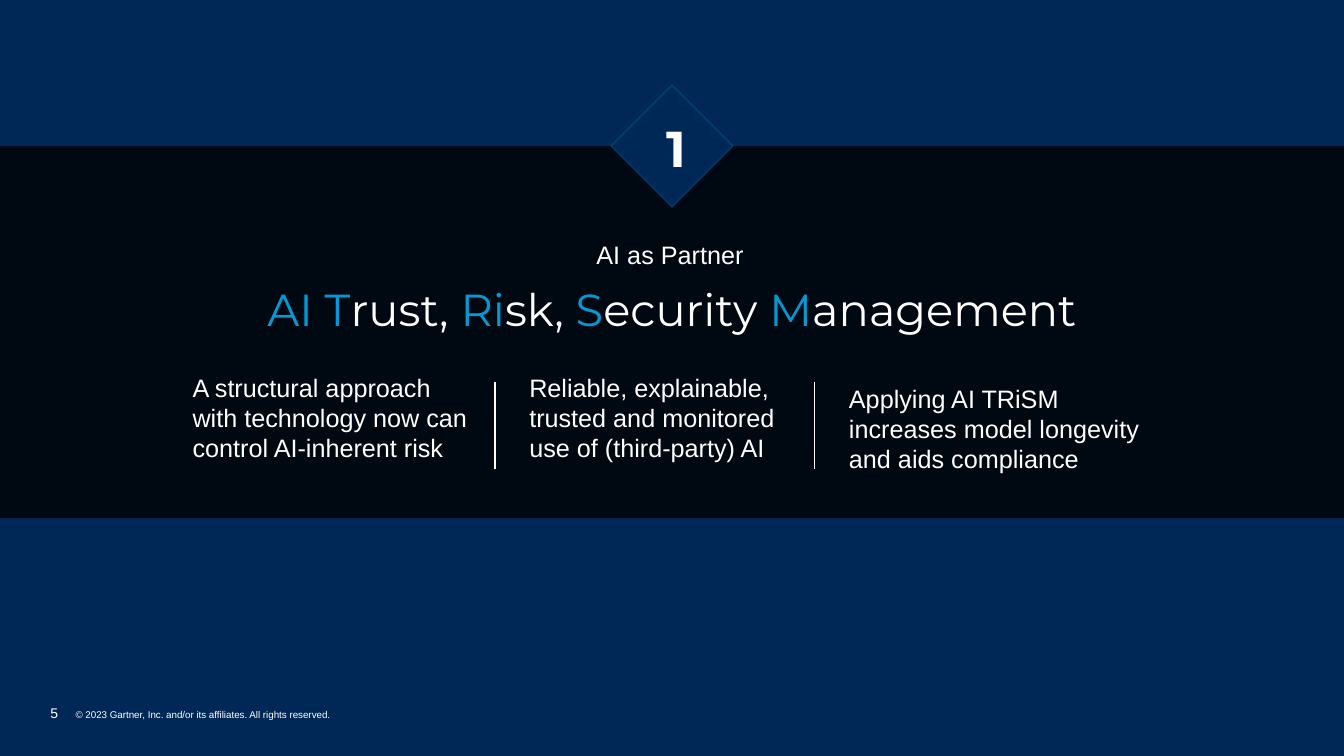
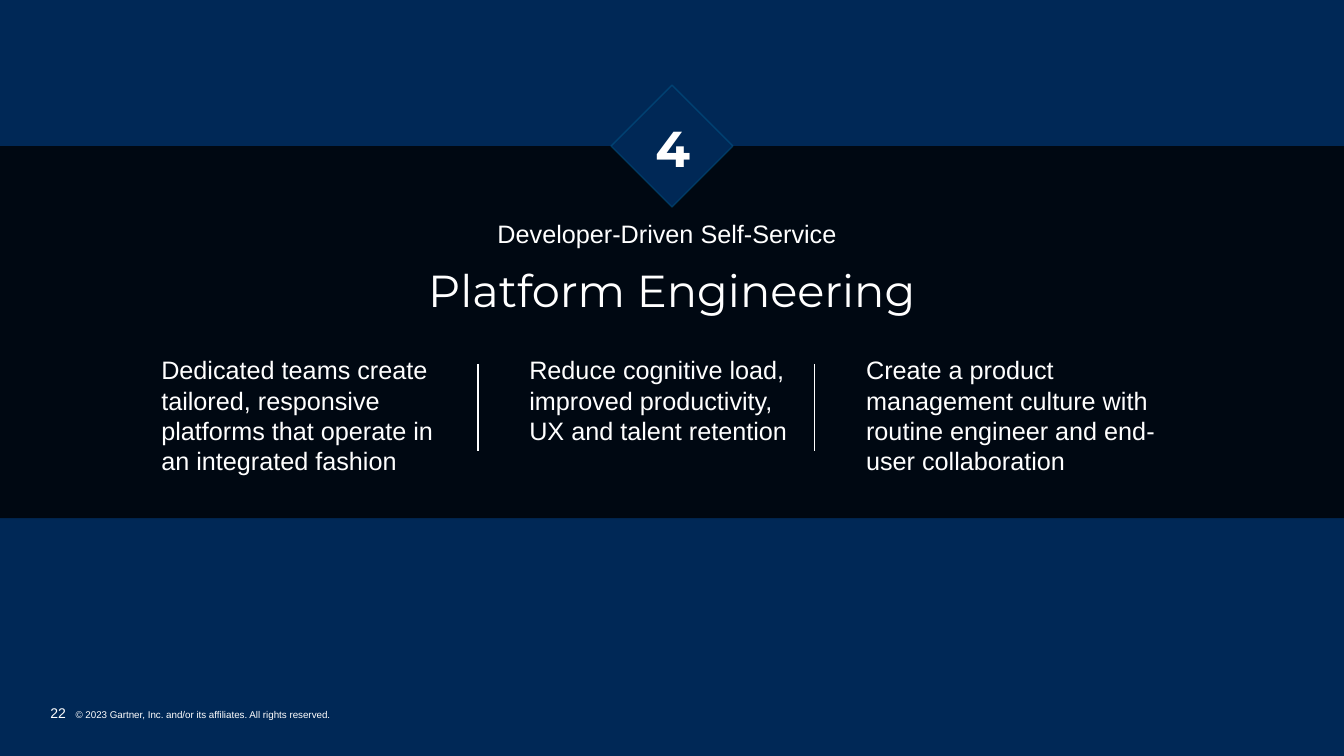
from pptx import Presentation
from pptx.dml.color import RGBColor
from pptx.enum.shapes import MSO_CONNECTOR, MSO_SHAPE
from pptx.enum.text import MSO_ANCHOR, PP_ALIGN
from pptx.oxml.ns import qn
from pptx.util import Inches, Pt
from lxml.etree import SubElement

NAVY = RGBColor(0x00, 0x28, 0x56)
BLACK = RGBColor(0x00, 0x00, 0x00)
WHITE = RGBColor(0xFF, 0xFF, 0xFF)
SKY = RGBColor(0x00, 0x9A, 0xD7)

BODY_FONT = "Arial"
TITLE_FONT = "Montserrat"
SLIDE_WIDTH, SLIDE_HEIGHT = 13.33, 7.5
BAND_TOP, BAND_HEIGHT = 1.45, 3.69
BADGE_SIZE = 1.21
DIVIDER_HEIGHT = 0.86
COPYRIGHT = "© 2023 Gartner, Inc. and/or its affiliates. All rights reserved."


def set_opacity(color_format_parent, percent):
    """Make the solid colour inside a fill or line element see-through."""
    color = next(color_format_parent.iter(qn("a:srgbClr")))
    SubElement(color, qn("a:alpha")).set("val", str(percent * 1000))


class TrendDeck:
    """Holds the shared style and the slide being built."""

    def __init__(self):
        self.deck = Presentation()
        self.deck.slide_width = Inches(SLIDE_WIDTH)
        self.deck.slide_height = Inches(SLIDE_HEIGHT)
        self.page = None

    def add_page(self, page_number, trend_number):
        self.page = self.deck.slides.add_slide(self.deck.slide_layouts[6])
        background = self.page.background.fill
        background.solid()
        background.fore_color.rgb = NAVY
        self.footer(page_number)
        self.band()
        self.badge(trend_number)

    def shape(self, kind, left, top, width, height, color):
        shape = self.page.shapes.add_shape(
            kind, Inches(left), Inches(top), Inches(width), Inches(height))
        shape.shadow.inherit = False
        shape.fill.solid()
        shape.fill.fore_color.rgb = color
        return shape

    def text(self, spans, left, top, width, height, size=18, font=BODY_FONT,
             align=PP_ALIGN.LEFT, bold=False, margins=(0, 0.05, 0.1, 0.05),
             anchor=MSO_ANCHOR.TOP):
        """Add one paragraph made of (text, colour) spans."""
        box = self.page.shapes.add_textbox(
            Inches(left), Inches(top), Inches(width), Inches(height))
        frame = box.text_frame
        frame.word_wrap = True
        frame.vertical_anchor = anchor
        (frame.margin_left, frame.margin_top,
         frame.margin_right, frame.margin_bottom) = map(Inches, margins)
        para = frame.paragraphs[0]
        para.alignment = align
        for words, color in spans:
            span = para.add_run()
            span.text = words
            span.font.name = font
            span.font.size = Pt(size)
            span.font.bold = bold
            span.font.color.rgb = color
        return para

    def footer(self, page_number):
        para = self.text([(str(page_number), WHITE), ("\t" + COPYRIGHT, WHITE)],
                         0.5, 6.99, 7.99, 0.17, size=10,
                         margins=(0, 0, 0, 0), anchor=MSO_ANCHOR.BOTTOM)
        para.runs[1].font.size = Pt(7)
        # The hanging indent lines up the copyright text
        properties = para._p.get_or_add_pPr()
        properties.set("marL", str(Inches(0.25)))
        properties.set("indent", str(Inches(-0.25)))

    def band(self):
        band = self.shape(MSO_SHAPE.RECTANGLE, 0, BAND_TOP,
                          SLIDE_WIDTH, BAND_HEIGHT, BLACK)
        band.line.fill.background()
        set_opacity(band.fill._xPr, 79)

    def badge(self, number):
        diamond = self.shape(
            MSO_SHAPE.DIAMOND, (SLIDE_WIDTH - BADGE_SIZE) / 2,
            BAND_TOP - BADGE_SIZE / 2, BADGE_SIZE, BADGE_SIZE, NAVY)
        diamond.line.color.rgb = SKY
        diamond.line.width = Pt(1)
        set_opacity(diamond.line._ln, 22)
        self.text([(str(number), WHITE)], 6.5, 1.11, 0.4, 0.71, size=36,
                  font=TITLE_FONT, bold=True, align=PP_ALIGN.RIGHT)

    def theme(self, words, left, top):
        self.text([(words, WHITE)], left, top, 6.13, 0.4,
                  align=PP_ALIGN.CENTER)

    def title(self, spans, top):
        para = self.text(spans, 0.5, top, 12.33, 0.48, size=32,
                         font=TITLE_FONT, align=PP_ALIGN.CENTER,
                         margins=(0.1, 0.05, 0.1, 0.05),
                         anchor=MSO_ANCHOR.MIDDLE)
        para.line_spacing = 0.9

    def points(self, columns, height):
        for left, top, width, words in columns:
            self.text([(words, WHITE)], left, top, width, height)

    def dividers(self, lefts, top):
        for left in lefts:
            line = self.page.shapes.add_connector(
                MSO_CONNECTOR.STRAIGHT, Inches(left), Inches(top),
                Inches(left), Inches(top + DIVIDER_HEIGHT))
            line.line.color.rgb = WHITE
            line.line.width = Pt(1)
            SubElement(line._element.spPr, qn("a:effectLst"))

    def save(self):
        self.deck.save("out.pptx")


def main():
    trends = TrendDeck()

    # Trend 1: the letters of the acronym stand out in the title
    trends.add_page(5, 1)
    trends.theme("AI as Partner", 3.63, 2.33)
    trends.title([("AI T", SKY), ("rust, ", WHITE), ("Ri", SKY),
                  ("sk, ", WHITE), ("S", SKY), ("ecurity ", WHITE),
                  ("M", SKY), ("anagement", WHITE)], 2.85)
    trends.points([
        (1.91, 3.64, 2.83, "A structural approach with technology now can "
                           "control AI-inherent risk"),
        (5.25, 3.64, 2.83, "Reliable, explainable, trusted and monitored "
                           "use of (third-party) AI"),
        (8.42, 3.75, 3.02, "Applying AI TRiSM increases model longevity "
                           "and aids compliance"),
    ], 1.01)
    trends.dividers((4.91, 8.08), 3.79)

    # Trend 4
    trends.add_page(22, 4)
    trends.theme("Developer-Driven Self-Service", 3.6, 2.12)
    trends.title([("Platform Engineering", WHITE)], 2.67)
    trends.points([
        (1.6, 3.47, 2.83, "Dedicated teams create tailored, responsive "
                          "platforms that operate in an integrated fashion"),
        (5.25, 3.47, 2.83, "Reduce cognitive load, improved productivity, "
                           "UX and talent retention"),
        (8.59, 3.47, 3.12, "Create a product management culture with "
                           "routine engineer and end-user collaboration"),
    ], 1.31)
    trends.dividers((4.74, 8.08), 3.61)

    trends.save()


if __name__ == "__main__":
    main()
